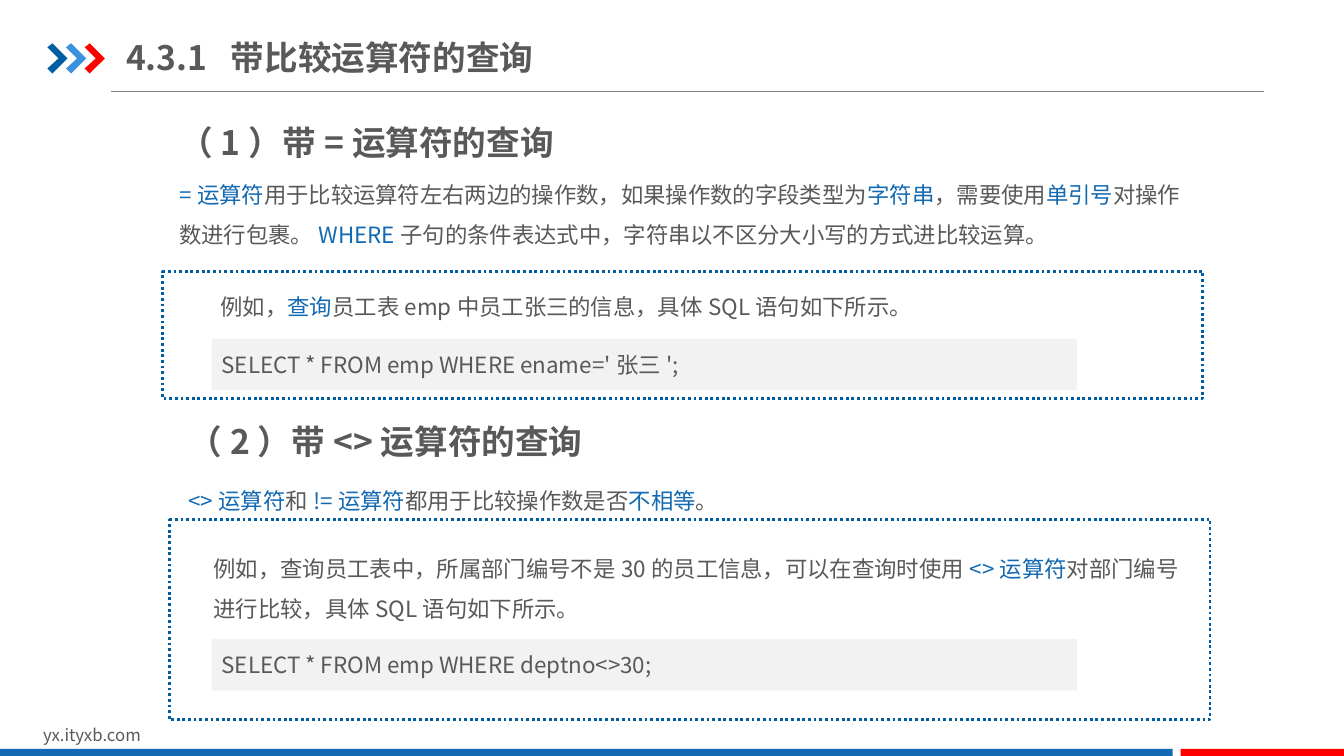
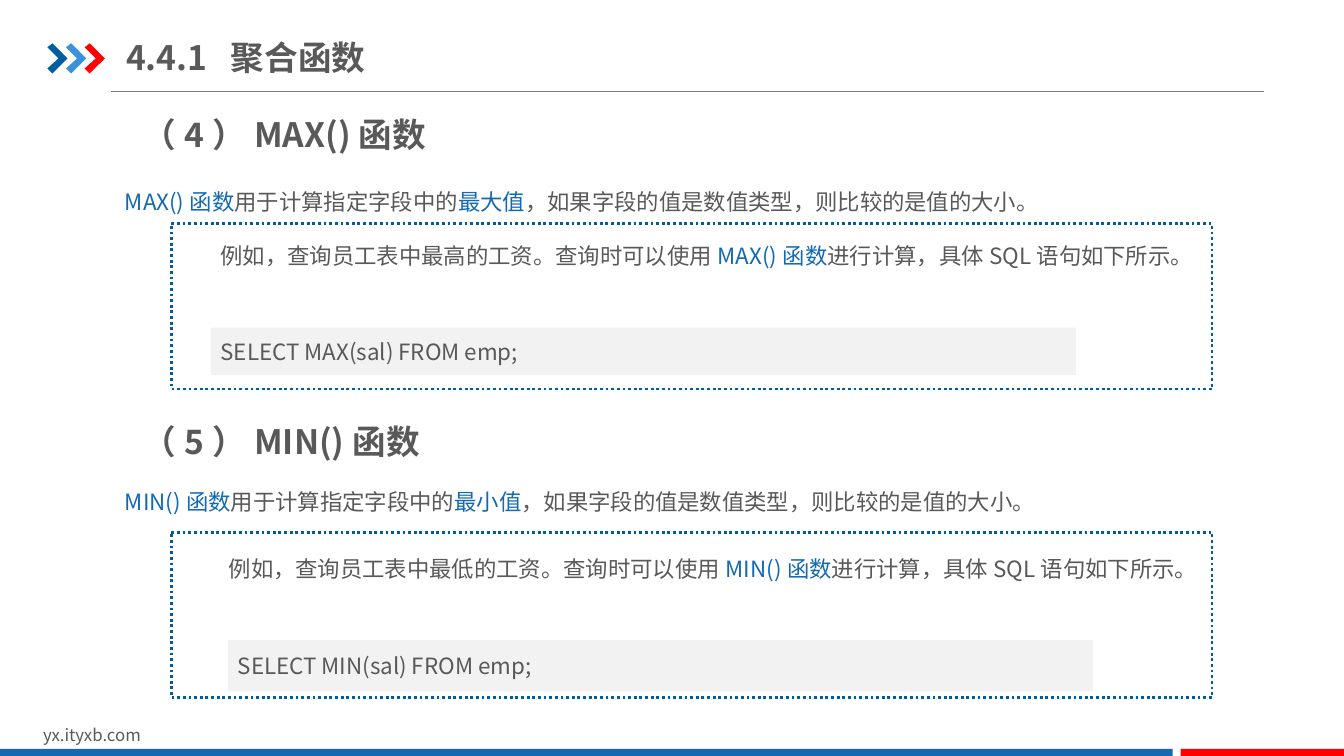
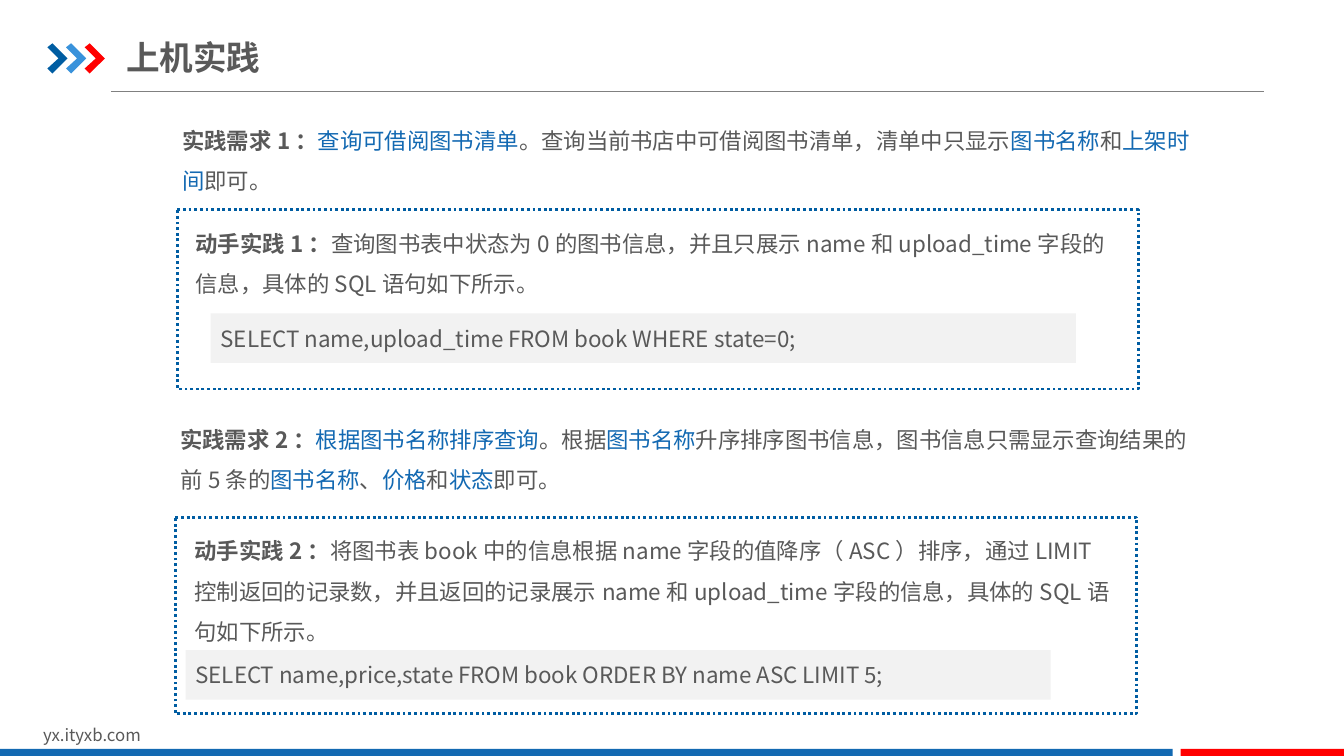
import pptx
import pptx.util
import pptx.dml.color
import pptx.enum.dml
import pptx.enum.shapes
import pptx.enum.text
import pptx.oxml.ns
import lxml.etree

Inches, Pt = pptx.util.Inches, pptx.util.Pt
RGB = pptx.dml.color.RGBColor.from_string
SHAPE = pptx.enum.shapes.MSO_SHAPE
ANCHOR = pptx.enum.text.MSO_ANCHOR
FIT = pptx.enum.text.MSO_AUTO_SIZE
qn = pptx.oxml.ns.qn

FONT = "Noto Sans CJK SC"
C = {"text": "595959", "key": "1369B2", "navy": "005DA2", "sky": "3992DB",
     "red": "FF0000", "rule": "808080", "code": "F2F2F2", "white": "FFFFFF"}


def write(tf, parts, size=16, bold=False, spacing=None, anchor=ANCHOR.TOP,
          fit=FIT.NONE, tab=None):
    """Fill a text frame; a part is a string or (string, "key" or "bold")."""
    tf.word_wrap, tf.auto_size, tf.vertical_anchor = True, fit, anchor
    p = tf.paragraphs[0]
    if tab:
        tabs = lxml.etree.SubElement(p._p.get_or_add_pPr(), qn("a:tabLst"))
        lxml.etree.SubElement(tabs, qn("a:tab"), pos=str(tab), algn="l")
    p.alignment = pptx.enum.text.PP_ALIGN.LEFT
    if spacing:
        p.line_spacing = spacing
    for part in [parts] if isinstance(parts, str) else parts:
        text, style = (part, None) if isinstance(part, str) else part
        r = p.add_run()
        r.text = text
        r.font.size, r.font.name = Pt(size), FONT
        r.font.bold = bold or style == "bold"
        r.font.color.rgb = RGB(C["key" if style == "key" else "text"])
        ea = lxml.etree.SubElement(r.font._element, qn("a:ea"), typeface=FONT)
        r.font._element.find(qn("a:latin")).addnext(ea)


def paint(sp, fill, line=None):
    """Give a shape a flat fill and, if asked, a dotted outline."""
    sp.shadow.inherit = False
    sp.fill.solid()
    sp.fill.fore_color.rgb = RGB(C[fill])
    if line:
        sp.line.color.rgb = RGB(C[line])
        sp.line.width = Pt(2)
        sp.line.dash_style = pptx.enum.dml.MSO_LINE.ROUND_DOT
    else:
        sp.line.fill.background()


# Slide contents: title, then (kind, left, top, width, height, text)
SLIDES = [
    ("4.3.1\t带比较运算符的查询", [
        ("body", 1.68, 1.61, 10.34, 0.91, [
            ("=运算符", "key"),
            "用于比较运算符左右两边的操作数，如果操作数的字段类型为",
            ("字符串", "key"), "，需要使用", ("单引号", "key"),
            "对操作数进行包裹。", ("WHERE", "key"),
            "子句的条件表达式中，字符串以不区分大小写的方式进比较运算。"]),
        ("heading", 1.68, 1.16, 4.1, 0.5, "（1）带=运算符的查询"),
        ("tight", 1.77, 4.8, 10.17, 0.35, [
            ("<>运算符", "key"), "和", ("!=运算符", "key"),
            "都用于比较操作数是否", ("不相等", "key"), "。"]),
        ("heading", 1.77, 4.13, 4.58, 0.5, "（2）带<>运算符的查询"),
        ("panel", 1.61, 2.69, 10.32, 1.26, None),
        ("body", 2.09, 2.73, 9.93, 0.5, [
            "例如，", ("查询", "key"),
            "员工表emp中员工张三的信息，具体SQL语句如下所示。"]),
        ("code", 2.1, 3.36, 8.58, 0.51, "SELECT * FROM emp WHERE ename='张三';"),
        ("panel", 1.68, 5.15, 10.32, 1.99, None),
        ("body", 2.02, 5.32, 9.93, 0.91, [
            "例如，查询员工表中，所属部门编号不是30的员工信息，可以在查询时使用",
            ("<>运算符", "key"), "对部门编号进行比较，具体SQL语句如下所示。"]),
        ("code", 2.1, 6.34, 8.58, 0.51, "SELECT * FROM emp WHERE deptno<>30;"),
    ]),
    ("4.4.1\t聚合函数", [
        item
        for number, name, most, pay, head_y, body_y, panel_y, eg, code in [
            (4, "MAX", "最大值", "最高", 1.08, 1.68, 2.22,
             (2.09, 2.22), (2.09, 3.25, 8.58, 0.47)),
            (5, "MIN", "最小值", "最低", 4.13, 4.66, 5.28,
             (2.17, 5.33), (2.26, 6.35, 8.58, 0.51))]
        for item in [
            ("heading", 1.32, head_y, 4.87, 0.5, f"（{number}）{name}()函数"),
            ("body", 1.14, body_y, 10.81, 0.5, [
                (f"{name}()函数", "key"), "用于计算指定字段中的", (most, "key"),
                "，如果字段的值是数值类型，则比较的是值的大小。"]),
            ("panel", 1.7, panel_y, 10.32, 1.64, None),
            ("body", *eg, 9.93, 0.5, [
                f"例如，查询员工表中{pay}的工资。查询时可以使用",
                (f"{name}()函数", "key"), "进行计算，具体SQL语句如下所示。"]),
            ("code", *code, f"SELECT {name}(sal) FROM emp;")]
    ]),
    ("上机实践", [
        ("body", 1.71, 1.08, 10.23, 0.91, [
            ("实践需求1：", "bold"), ("查询可借阅图书清单", "key"),
            "。查询当前书店中可借阅图书清单，清单中只显示",
            ("图书名称", "key"), "和", ("上架时间", "key"), "即可。"]),
        ("body", 1.69, 4.04, 10.23, 0.91, [
            ("实践需求2：", "bold"), ("根据图书名称排序查询", "key"), "。根据",
            ("图书名称", "key"),
            "升序排序图书信息，图书信息只需显示查询结果的前5条的",
            ("图书名称", "key"), "、", ("价格", "key"), "和",
            ("状态", "key"), "即可。"]),
        ("panel", 1.76, 2.08, 9.53, 1.78, None),
        ("body", 1.84, 2.1, 9.32, 0.91, [
            ("动手实践1：", "bold"),
            "查询图书表中状态为0的图书信息，并且只展示name和upload_time"
            "字段的信息，具体的SQL语句如下所示。"]),
        ("code", 2.09, 3.11, 8.58, 0.49,
         "SELECT name,upload_time FROM book WHERE state=0;"),
        ("panel", 1.74, 5.13, 9.53, 1.95, None),
        ("body", 1.83, 5.15, 9.32, 1.31, [
            ("动手实践2：", "bold"),
            "将图书表book中的信息根据name字段的值降序（ASC）排序，通过LIMIT"
            "控制返回的记录数，并且返回的记录展示name和upload_time"
            "字段的信息，具体的SQL语句如下所示。"]),
        ("code", 1.84, 6.45, 8.58, 0.49,
         "SELECT name,price,state FROM book ORDER BY name ASC LIMIT 5;"),
    ]),
]

TEXT_STYLES = {"heading": dict(size=24, bold=True),
               "body": dict(spacing=1.5),
               "tight": dict(spacing=Pt(18))}

prs = pptx.Presentation()
prs.slide_width, prs.slide_height = Inches(13.33), Inches(7.5)

# Layout: keep only the title placeholder
layout = prs.slide_layouts[5]
for ph in list(layout.placeholders):
    if ph.placeholder_format.idx:
        ph.element.getparent().remove(ph.element)
slides = [prs.slides.add_slide(layout) for _ in SLIDES]

# Shared parts are drawn on the first slide, then moved to the layout
shapes = slides[0].shapes
rule = shapes.add_connector(pptx.enum.shapes.MSO_CONNECTOR.STRAIGHT,
                            Inches(1.1), Inches(0.91), Inches(12.54), Inches(0.91))
rule.line.color.rgb, rule.line.width = RGB(C["rule"]), Pt(0.75)
lxml.etree.SubElement(rule.element.spPr, qn("a:effectLst"))
shared = [rule]

# Three chevrons beside the title
CHEVRON = [(0, 0.04), (0.05, 0), (0.2, 0.15), (0.05, 0.3), (0, 0.25), (0.11, 0.15)]
for i, color in enumerate(["navy", "sky", "red"]):
    points = [(Inches(0.47 + 0.185 * i + x), Inches(0.43 + y)) for x, y in CHEVRON]
    outline = shapes.build_freeform(*points[0], scale=1.0)
    outline.add_line_segments(points[1:], close=True)
    chevron = outline.convert_to_shape()
    paint(chevron, color)
    shared.append(chevron)

# Footer address and bottom bands
footer = shapes.add_textbox(Inches(0.33), Inches(7.14), Inches(3.18), Inches(0.3))
write(footer.text_frame, "yx.ityxb.com", size=12, fit=FIT.SHAPE_TO_FIT_TEXT)
shared.append(footer)
for left, width, color in [(0, 11.63, "key"), (11.71, 1.62, "red")]:
    band = shapes.add_shape(SHAPE.RECTANGLE, Inches(left), Inches(7.43),
                            Inches(width), Inches(0.09))
    paint(band, color)
    shared.append(band)
for sp in shared:
    layout.shapes.element.append(sp.element)

# Slides
for s, (title, items) in zip(slides, SLIDES):
    sp = s.shapes.title
    sp.left, sp.top, sp.width, sp.height = map(Inches, (1.25, 0.29, 4.26, 0.55))
    tf = sp.text_frame
    tf.margin_left = tf.margin_right = 0
    tf.margin_top = tf.margin_bottom = Inches(0.07)
    write(tf, title, size=24, bold=True, anchor=ANCHOR.MIDDLE,
          tab=Inches(1.04) if "\t" in title else None)

    for kind, *box, parts in items:
        box = [Inches(v) for v in box]
        if kind == "panel":
            paint(s.shapes.add_shape(SHAPE.FLOWCHART_PROCESS, *box), "white", "navy")
        elif kind == "code":
            sp = s.shapes.add_shape(SHAPE.RECTANGLE, *box)
            paint(sp, "code")
            write(sp.text_frame, parts, anchor=ANCHOR.MIDDLE)
        else:
            write(s.shapes.add_textbox(*box).text_frame, parts,
                  fit=FIT.SHAPE_TO_FIT_TEXT, **TEXT_STYLES[kind])

prs.save("out.pptx")
